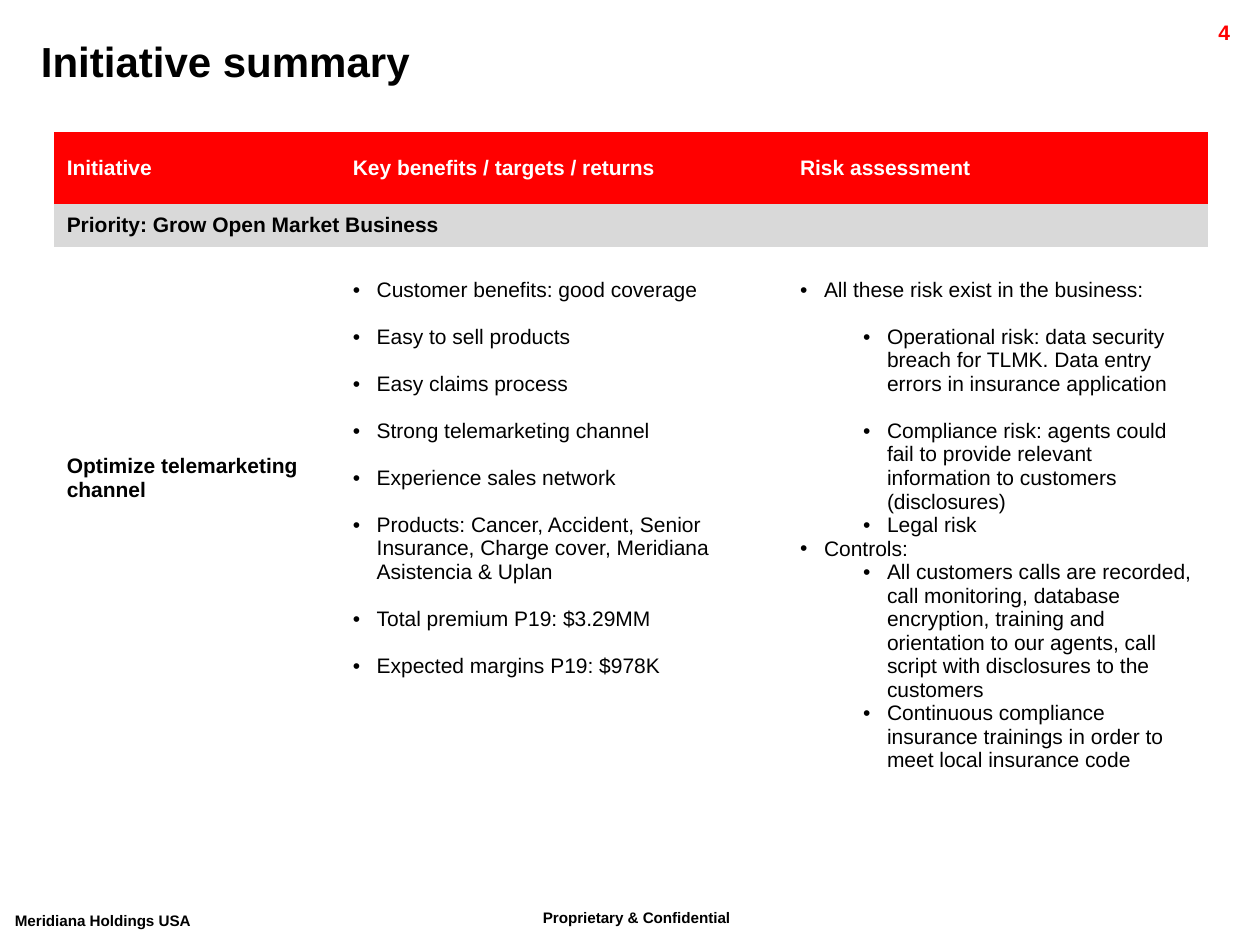
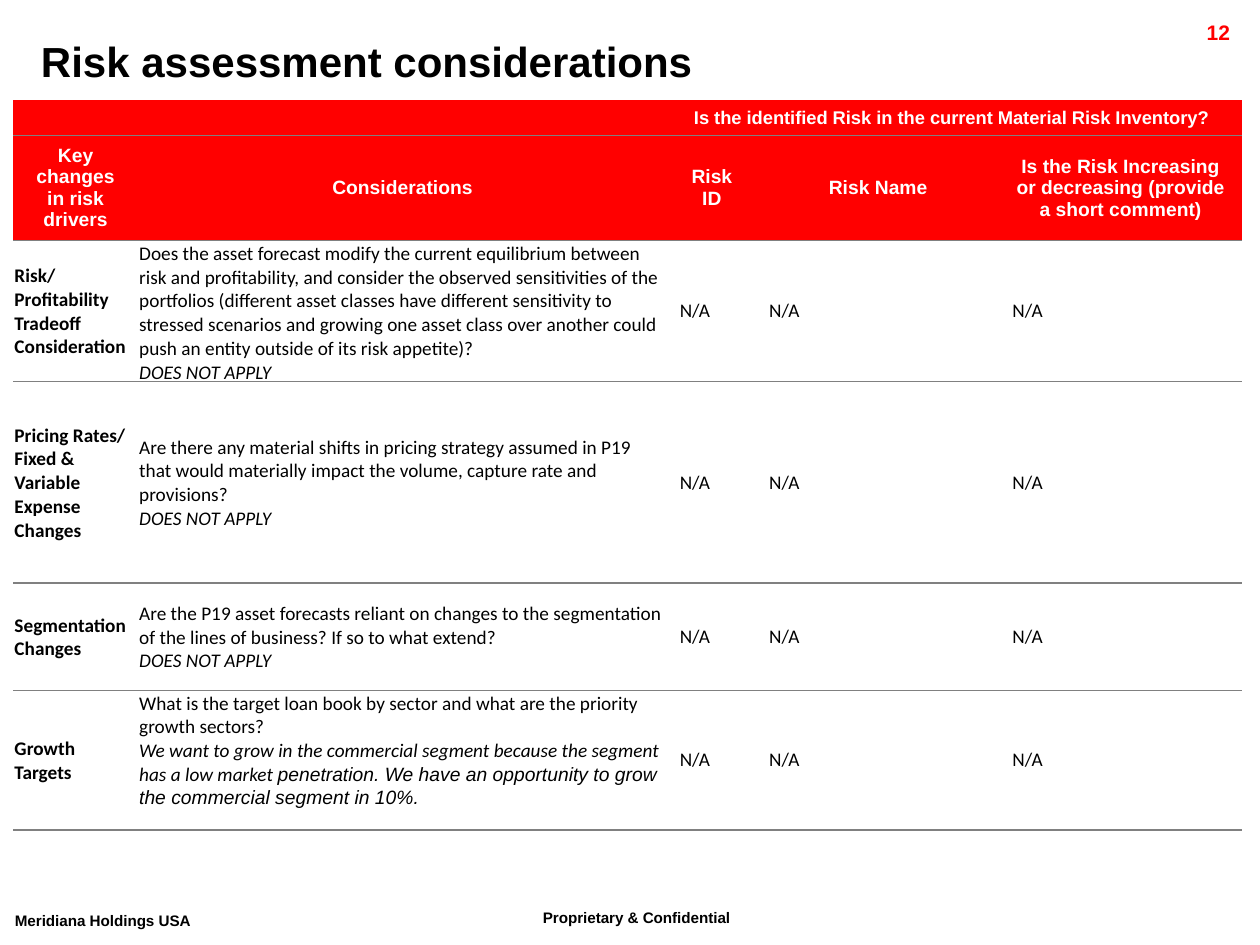
from lxml.etree import SubElement
from pptx import Presentation
from pptx.dml.color import RGBColor
from pptx.enum.text import MSO_ANCHOR, PP_ALIGN
from pptx.oxml import parse_xml
from pptx.oxml.ns import nsdecls, qn
from pptx.util import Inches, Pt

COLORS = {"ink": "000000", "accent": "FF0000", "paper": "FFFFFF", "band": "D9D9D9", "rule": "808080"}
COLUMNS, ROWS = 100, 75
PLAIN_STYLE = "{2D5ABB26-0587-4C30-8999-92F81FD0307C}"
BLANK_LINE = Pt(13.4)


class Deck:
    """Holds the shared style and the current slide; lengths are grid columns and rows."""

    def __init__(self):
        self.prs = Presentation()
        self.prs.slide_width, self.prs.slide_height = Inches(10), Inches(7.5)
        self.slide = None

    def across(self, columns):
        return round(self.prs.slide_width * columns / COLUMNS)

    def down(self, rows):
        return round(self.prs.slide_height * rows / ROWS)

    def area(self, left, top, width, height):
        return self.across(left), self.down(top), self.across(width), self.down(height)

    def run(self, paragraph, text, size=12, color="ink", bold=False, italic=False, font="Arial", baseline=0):
        run = paragraph.add_run()
        run.text = text
        run.font.size, run.font.name = Pt(size), font
        run.font.bold, run.font.italic = bold, italic
        run.font.color.rgb = RGBColor.from_string(COLORS[color])
        if baseline:
            run._r.get_or_add_rPr().set("baseline", str(baseline * 1000))

    def label(self, text, area, wrap=True, align=PP_ALIGN.LEFT, **style):
        frame = self.slide.shapes.add_textbox(*self.area(*area)).text_frame
        frame.word_wrap = wrap
        frame.paragraphs[0].alignment = align
        self.run(frame.paragraphs[0], text, bold=True, **style)

    def page(self, title, number):
        self.slide = self.prs.slides.add_slide(self.prs.slide_layouts[5])
        heading = self.slide.shapes.title
        heading.left, heading.top, heading.width, heading.height = self.area(2.25, 2.3, 97, 5)
        heading.text_frame.vertical_anchor = MSO_ANCHOR.MIDDLE
        heading.text_frame.paragraphs[0].alignment = PP_ALIGN.LEFT
        self.run(heading.text_frame.paragraphs[0], title, size=24, bold=True)
        self.label("Proprietary & Confidential", (42.1, 71.35, 21.8, 3.5), size=15, baseline=30)
        self.label("Meridiana Holdings USA", (0.2, 71.6, 19.1, 3.5), wrap=False, size=15, baseline=30)
        self.label(str(number), (89.1, 1.1, 9.5, 2.4), align=PP_ALIGN.RIGHT, color="accent")

    def table(self, left, top, widths, heights):
        area = self.area(left, top, sum(widths), sum(heights))
        table = self.slide.shapes.add_table(len(heights), len(widths), *area).table
        table._tbl.tblPr.find(qn("a:tableStyleId")).text = PLAIN_STYLE
        table.horz_banding = False
        for column, width in zip(table.columns, widths):
            column.width = self.across(width)
        for row, height in zip(table.rows, heights):
            row.height = self.down(height)
        return table

    def cell(self, cell, paragraphs, fill="paper", margins=(1, 0.5, 1, 0.5),
             anchor=MSO_ANCHOR.MIDDLE, align=PP_ALIGN.LEFT, **style):
        """Fill a cell with paragraphs, each a list of (text, style changes)."""
        cell.fill.solid()
        cell.fill.fore_color.rgb = RGBColor.from_string(COLORS[fill])
        cell.vertical_anchor = anchor
        left, top, right, bottom = margins
        cell.margin_left, cell.margin_right = self.across(left), self.across(right)
        cell.margin_top, cell.margin_bottom = self.down(top), self.down(bottom)
        for index, runs in enumerate(paragraphs):
            paragraph = cell.text_frame.add_paragraph() if index else cell.text_frame.paragraphs[0]
            paragraph.alignment = align
            for text, changes in runs:
                self.run(paragraph, text, **{**style, **changes})

    def empty_cell(self, cell, fill, size):
        """Fill a cell without text and keep its empty line small."""
        self.cell(cell, [], fill=fill)
        SubElement(cell.text_frame.paragraphs[0]._p, qn("a:endParaRPr")).set("sz", str(size * 100))

    def bullets(self, cell, items):
        """Write (text, level, gap above) items as bullets."""
        self.cell(cell, [[(text, {})] for text, _, _ in items],
                  margins=(1, 2.5, 1, 0.5), anchor=MSO_ANCHOR.TOP)
        for paragraph, (_, level, gap) in zip(cell.text_frame.paragraphs, items):
            properties = paragraph._p.get_or_add_pPr()
            properties.set("marL", str(self.across(1.9 + 5 * level)))
            properties.set("indent", str(-self.across(1.9)))
            SubElement(properties, qn("a:buFont")).set("typeface", "Arial")
            SubElement(properties, qn("a:buChar")).set("char", "•")
            paragraph.level = level
            paragraph.space_before = BLANK_LINE if gap else Pt(0)

    def rule(self, cell, *sides):
        """Draw rules on the given sides, top before bottom."""
        for place, side in enumerate(sides):
            cell._tc.get_or_add_tcPr().insert(place, parse_xml(
                f'<a:{side} {nsdecls("a")} w="12700"><a:solidFill><a:srgbClr val="{COLORS["rule"]}"/>'
                f'</a:solidFill><a:prstDash val="solid"/></a:{side}>'))


HEADER = {"fill": "accent", "color": "paper", "bold": True}

BENEFITS = [
    "Customer benefits: good coverage", "Easy to sell products", "Easy claims process",
    "Strong telemarketing channel", "Experience sales network",
    "Products: Cancer, Accident, Senior Insurance, Charge cover, Meridiana Asistencia & Uplan",
    "Total premium P19: $3.29MM", "Expected margins P19: $978K",
]
RISKS = [
    ("All these risk exist in the business:", 0, False),
    ("Operational risk: data security breach for TLMK. Data entry errors in insurance application", 1, True),
    ("Compliance risk: agents could fail to provide relevant information to customers (disclosures)", 1, True),
    ("Legal risk", 1, False),
    ("Controls:", 0, False),
    ("All customers calls are recorded, call monitoring, database encryption, training and orientation "
     "to our agents, call script with disclosures to the customers", 1, False),
    ("Continuous compliance insurance trainings in order to meet local insurance code", 1, False),
]

NOT_APPLICABLE = [("DOES NOT APPLY", {"italic": True})]
DRIVERS = [
    ("Risk/ Profitability Tradeoff Consideration",
     "Does the asset forecast modify the current equilibrium between risk and profitability, and consider "
     "the observed sensitivities of the portfolios (different asset classes have different sensitivity to "
     "stressed scenarios and growing one asset class over another could push an entity outside of its "
     "risk appetite)?", NOT_APPLICABLE, 0),
    ("Pricing Rates/ Fixed & Variable Expense Changes",
     "Are there any material shifts in pricing strategy assumed in P19 that would materially impact the "
     "volume, capture rate and provisions?", NOT_APPLICABLE, 0),
    ("Segmentation Changes",
     "Are the P19 asset forecasts reliant on changes to the segmentation of the lines of business? "
     "If so to what extend?", NOT_APPLICABLE, 0),
    ("Growth Targets",
     "What is the target loan book by sector and what are the priority growth sectors?",
     [("We want to grow in the commercial segment because the segment has a low market ", {"italic": True}),
      ("penetration. We have an opportunity to grow the commercial segment in 10%.",
       {"italic": True, "font": "Arial"})], 1.8),
]


def initiative_summary(deck):
    deck.page("Initiative summary", 4)
    summary = deck.table(4.3, 10.5, (22.7, 35.5, 33.4), (5.7, 3.4, 48.5))
    for column, heading in enumerate(("Initiative", "Key benefits / targets / returns", "Risk assessment")):
        deck.cell(summary.cell(0, column), [[(heading, {})]], **HEADER)
    priority = summary.cell(1, 0)
    priority.merge(summary.cell(1, 2))
    deck.cell(priority, [[("Priority: Grow Open Market Business", {})]], fill="band", bold=True)
    deck.cell(summary.cell(2, 0), [[("Optimize telemarketing channel", {})]],
              margins=(1, 16.5, 1, 0.5), anchor=MSO_ANCHOR.TOP, bold=True)
    deck.bullets(summary.cell(2, 1), [(text, 0, index > 0) for index, text in enumerate(BENEFITS)])
    deck.bullets(summary.cell(2, 2), RISKS)


def risk_considerations(deck):
    deck.page("Risk assessment considerations", 12)
    risks = deck.table(1.05, 7.95, (9.9, 42, 7.1, 19.3, 19.2), (2.8, 8.3, 11.2, 16, 8.5, 11.1))
    risks.cell(0, 0).merge(risks.cell(0, 1))
    risks.cell(0, 2).merge(risks.cell(0, 4))
    for column in (0, 1, 3, 4):
        deck.empty_cell(risks.cell(0, column), "accent", 10)
    inventory = "Is the identified Risk in the current Material Risk Inventory? "
    deck.cell(risks.cell(0, 2), [[(inventory, {})]], size=10.5, align=PP_ALIGN.CENTER, **HEADER)
    headings = ("Key changes in risk drivers", "Considerations", "Risk ID", "Risk Name",
                "Is the Risk Increasing or decreasing (provide a short comment)")
    for column, heading in enumerate(headings):
        deck.cell(risks.cell(1, column), [[(heading, {})]], size=11, align=PP_ALIGN.CENTER, **HEADER)
    body = {"size": 11, "font": "Calibri"}
    for row, (driver, question, answer, space_below) in enumerate(DRIVERS, start=2):
        deck.cell(risks.cell(row, 0), [[(driver, {})]], margins=(0.1, 0.1, 0.1, 0), bold=True, **body)
        deck.cell(risks.cell(row, 1), [[(question, {})], answer],
                  margins=(0.1, 0.1, 0.1, space_below), **body)
        for column in range(2, 5):
            deck.cell(risks.cell(row, column), [[("N/A", {})]], margins=(1, 1, 1, 1), **body)
    for index, cell in enumerate(risks.iter_cells()):
        deck.rule(cell, *(("lnB",) if index < len(headings) else ("lnT", "lnB")))


def main():
    deck = Deck()
    initiative_summary(deck)
    risk_considerations(deck)
    deck.prs.save("out.pptx")


if __name__ == "__main__":
    main()
